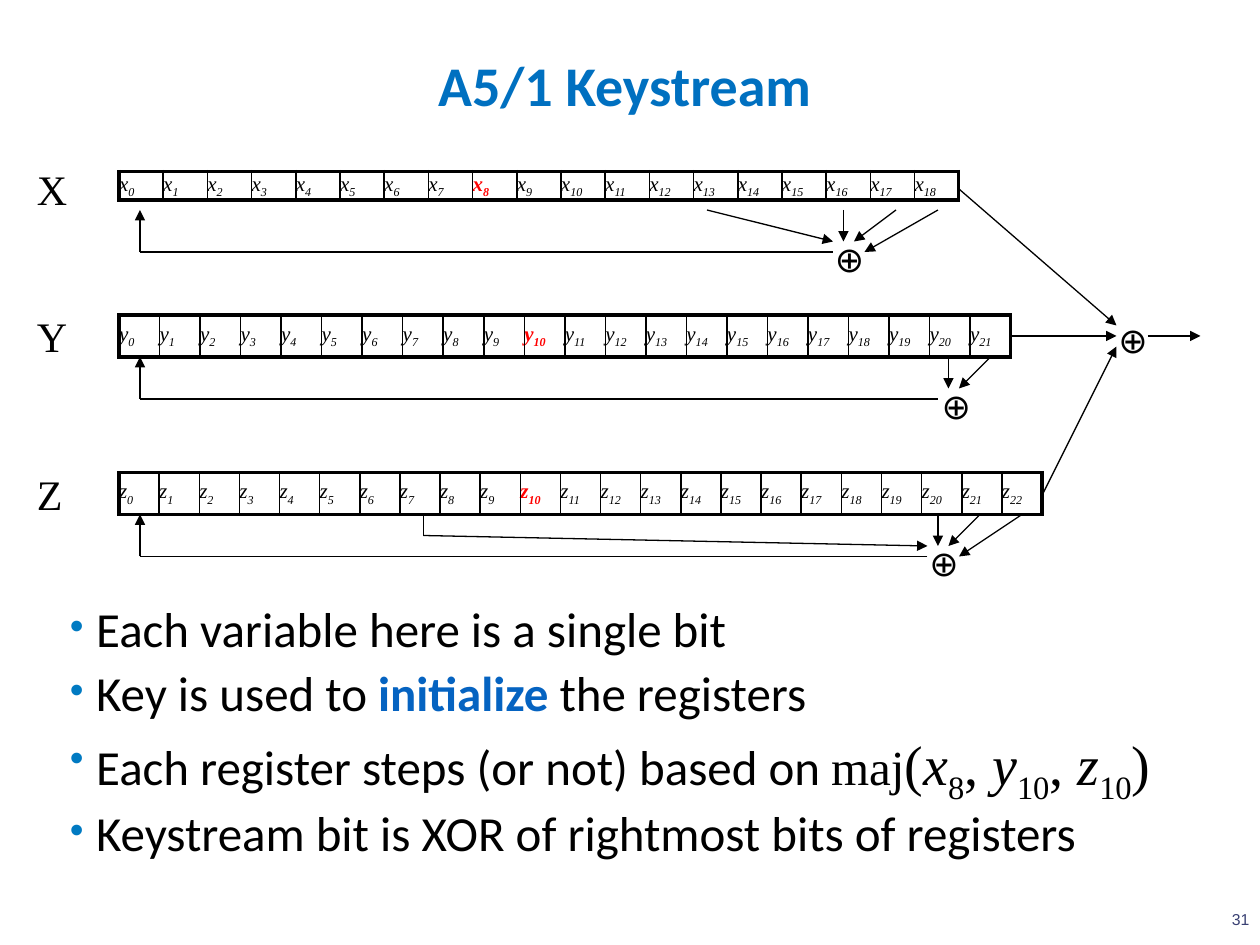
from lxml import etree
from pptx import Presentation
from pptx.dml.color import RGBColor
from pptx.enum.shapes import MSO_CONNECTOR
from pptx.enum.text import MSO_ANCHOR, PP_ALIGN
from pptx.oxml.ns import qn
from pptx.util import Pt

STRAIGHT = MSO_CONNECTOR.STRAIGHT
MIDDLE = MSO_ANCHOR.MIDDLE
LEFT, CENTER, RIGHT = PP_ALIGN.LEFT, PP_ALIGN.CENTER, PP_ALIGN.RIGHT
SERIF = "Times New Roman"
SUBSCRIPT = "-25000"


def color(hex_string):
    return RGBColor.from_string(hex_string)


def add_label(left, top, width, height, text, size, font, hex_string="000000",
              align=LEFT, inset=None):
    box = slide.shapes.add_textbox(Pt(left), Pt(top), Pt(width), Pt(height))
    frame = box.text_frame
    frame.text = text
    frame.word_wrap = inset is not None
    if inset is not None:
        frame.margin_left = frame.margin_right = Pt(inset)
        frame.margin_top = frame.margin_bottom = Pt(inset)
    frame.paragraphs[0].alignment = align
    run_font = frame.paragraphs[0].runs[0].font
    run_font.size, run_font.name = Pt(size), font
    run_font.color.rgb = color(hex_string)
    return frame


prs = Presentation()
prs.slide_width, prs.slide_height = Pt(720), Pt(540)
slide = prs.slides.add_slide(prs.slide_layouts[6])

# Title
title = add_label(54, 24, 606, 48, "A5/1 Keystream", 32, "Calibri", "0070C0", CENTER, 0)
title.vertical_anchor = MIDDLE
title.paragraphs[0].runs[0].font.bold = True

# Explanation: each run is text, size, font, colour, bold, italic, subscript
plain = (28, "Calibri", "000000", False, False, False)
keyword = (28, "Calibri", "0563C1", True, False, False)
function = (28, SERIF, "000000", False, False, False)
symbol = (32, SERIF, "000000", False, False, False)
variable = (32, SERIF, "000000", False, True, False)
index = (32, SERIF, "000000", False, False, True)
bullets = [
    [("Each variable here is a single bit", plain)],
    [("Key is used to ", plain), ("initialize ", keyword), ("the registers", plain)],
    [("Each register steps (or not) based on ", plain), ("maj", function),
     ("(", symbol), ("x", variable), ("8", index), (", ", symbol),
     ("y", variable), ("10", index), (", ", symbol),
     ("z", variable), ("10", index), (")", symbol)],
    [("Keystream bit is XOR of rightmost bits of registers", plain)],
]
body = slide.shapes.add_textbox(Pt(40), Pt(351), Pt(648), Pt(145)).text_frame
body.word_wrap = True
body.margin_left = body.margin_right = body.margin_top = body.margin_bottom = 0
for number, runs in enumerate(bullets):
    paragraph = body.add_paragraph() if number else body.paragraphs[0]
    paragraph.line_spacing = 0.7
    paragraph.space_before = Pt(7 if number else 0)
    paragraph.space_after = Pt(6)
    properties = paragraph._p.get_or_add_pPr()
    properties.set("marL", str(Pt(15)))
    properties.set("indent", str(Pt(-15)))
    bullet_color = etree.SubElement(properties, qn("a:buClr"))
    etree.SubElement(bullet_color, qn("a:srgbClr"), val="007AC2")
    etree.SubElement(properties, qn("a:buSzPct"), val="80000")
    etree.SubElement(properties, qn("a:buFont"), typeface="Arial")
    etree.SubElement(properties, qn("a:buChar"), char="•")
    for text, (size, font, hex_string, bold, italic, lowered) in runs:
        run = paragraph.add_run()
        run.text = text
        run.font.size, run.font.name = Pt(size), font
        run.font.bold, run.font.italic = bold, italic
        run.font.color.rgb = color(hex_string)
        if lowered:
            run.font._element.set("baseline", SUBSCRIPT)

# Shift registers: letter, bits, clocking bit, top, width, height, cell margin
registers = [
    ("x", 19, 8, 98, 480, 10, 0),
    ("y", 22, 10, 180, 510, 24, 3.6),
    ("z", 23, 10, 270, 528, 24, 3.6),
]
for letter, bits, clocking_bit, top, width, height, margin in registers:
    frame = slide.shapes.add_table(1, bits, Pt(68), Pt(top), Pt(width), Pt(height))
    register = frame.table
    register.first_row = register.horz_banding = False
    for bit in range(bits):
        register.columns[bit].width = Pt(width / bits)
        cell = register.cell(0, bit)
        cell.margin_left = cell.margin_right = 0
        cell.margin_top = cell.margin_bottom = Pt(margin)
        cell.vertical_anchor = MIDDLE
        paragraph = cell.text_frame.paragraphs[0]
        for text in (letter, str(bit)):
            run = paragraph.add_run()
            run.text = text
            run.font.size, run.font.name = Pt(12), SERIF
            run.font.italic, run.font.bold = True, bit == clocking_bit
            run.font.color.rgb = color("FF0000" if bit == clocking_bit else "000000")
        run.font._element.set("baseline", SUBSCRIPT)
        borders = {"a:lnL": 2.25 if bit == 0 else 1,
                   "a:lnR": 2.25 if bit == bits - 1 else 1,
                   "a:lnT": 2.25, "a:lnB": 2.25}
        cell_properties = cell._tc.get_or_add_tcPr()
        for side, weight in borders.items():
            border = etree.SubElement(cell_properties, qn(side), w=str(Pt(weight)))
            fill = etree.SubElement(border, qn("a:solidFill"))
            etree.SubElement(fill, qn("a:srgbClr"), val="000000")
        cell.fill.background()

# Register names and XOR nodes
for name, top in (("X", 90), ("Y", 174), ("Z", 264)):
    add_label(14, top, 30, 36, name, 24, SERIF)
for left, top in ((470, 132), (531, 216), (524, 306), (632, 178.5)):
    add_label(left, top, 29.5, 31, "⊕", 20, "Comic Neue")

# Wiring: start x, start y, end x, end y, arrowhead
wires = [
    # X feedback taps
    (482, 120, 482, 138, True), (512, 120, 488, 138, True),
    (536, 120, 494, 144, True), (404, 120, 476, 138, True),
    # Y feedback taps
    (542, 204, 542, 222, True), (566, 204, 548, 222, True),
    # Z feedback taps
    (536, 294, 536, 312, True), (560, 294, 542, 312, True),
    (584, 294, 548, 318, True),
    (242, 294, 242, 306, False), (242, 306, 530, 312, True),
    # Register outputs and keystream bit
    (548, 108, 638, 186, True), (578, 192, 638, 192, True),
    (596, 282, 638, 198, True), (656, 192, 686, 192, True),
]
# Feedback from each XOR node to bit 0
for node_x, line_y, register_y in ((476, 144, 120), (536, 228, 204), (530, 318, 294)):
    wires += [(node_x, line_y, 80, line_y, False), (80, line_y, 80, register_y, True)]
for start_x, start_y, end_x, end_y, arrow in wires:
    wire = slide.shapes.add_connector(STRAIGHT, Pt(start_x), Pt(start_y), Pt(end_x), Pt(end_y))
    wire.line.width = Pt(0.75)
    wire.line.color.rgb = color("000000")
    if arrow:
        etree.SubElement(wire.line._get_or_add_ln(), qn("a:tailEnd"), type="triangle")
    etree.SubElement(wire._element.spPr, qn("a:effectLst"))

# Slide number
add_label(684, 520, 30, 17, "31", 9, "Arial", "394073", RIGHT, 0)

prs.save("out.pptx")
